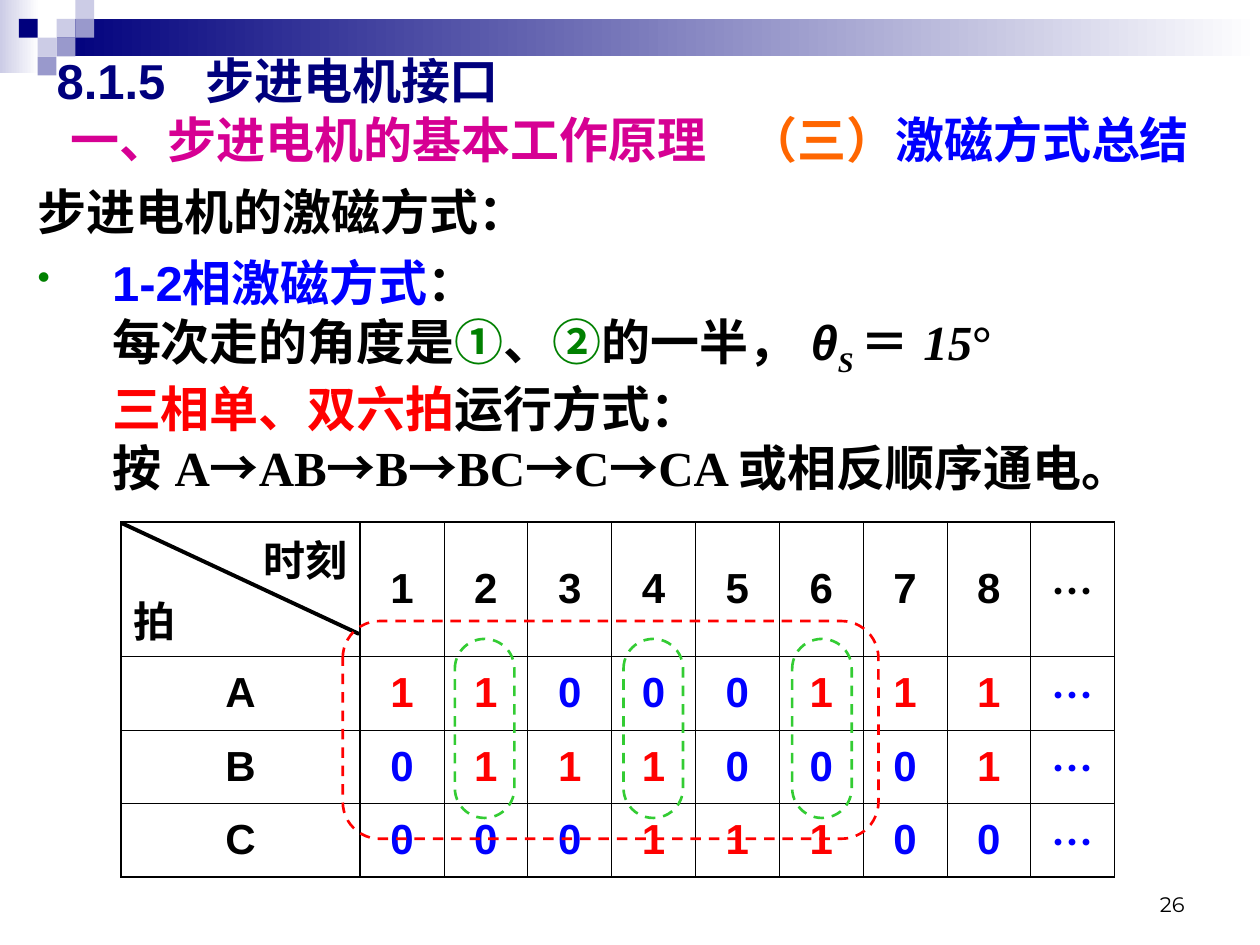
from dataclasses import dataclass
from typing import Optional

from lxml import etree
from pptx import Presentation
from pptx import util as u
from pptx.dml.color import RGBColor
from pptx.enum import dml, shapes, text
from pptx.oxml.ns import qn

COLORS = {
    "black": "000000", "white": "FFFFFF", "navy": "00007D", "lilac": "CCCCE6",
    "violet": "9999CC", "magenta": "D60093", "orange": "FF6600", "blue": "0000FF",
    "green": "008000", "red": "FF0000", "lime": "33CC33",
}
ARIAL, TIMES, CJK = "Arial", "Times New Roman", "Noto Sans CJK SC"
THICK, THIN = 1.08, 0.45


@dataclass
class Run:
    text: str
    color: str = "black"
    font: str = ARIAL
    italic: bool = False
    subscript: bool = False


@dataclass
class Box:
    left: float
    top: float
    width: float
    height: float

    def lengths(self) -> tuple:
        return tuple(u.Cm(v) for v in (self.left, self.top, self.width, self.height))


def rgb(name: str) -> RGBColor:
    return RGBColor.from_string(COLORS[name])


def format_run(run, size: float, style: Run, bold: bool = True, east_asian: str = ARIAL) -> None:
    values = {"size": u.Pt(size), "bold": bold, "italic": style.italic, "name": style.font}
    for name, value in values.items():
        setattr(run.font, name, value)
    run.font.color.rgb = rgb(style.color)
    properties = run.font._element
    if style.subscript:
        properties.set("baseline", "-25000")
    properties.find(qn("a:latin")).addnext(
        etree.Element(qn("a:ea"), typeface=east_asian))


def write_runs(paragraph, runs: list[Run], size: float = 28) -> None:
    """Add the runs; a newline inside a run becomes a line break."""
    for style in runs:
        for index, part in enumerate(style.text.split("\n")):
            if index:
                paragraph.add_line_break()
            if part:
                run = paragraph.add_run()
                run.text = part
                format_run(run, size, style)


def set_frame(frame, anchor) -> None:
    values = {"word_wrap": True, "auto_size": text.MSO_AUTO_SIZE.NONE,
              "vertical_anchor": anchor,
              "margin_left": u.Cm(0.25), "margin_right": u.Cm(0.25),
              "margin_top": u.Cm(0.13), "margin_bottom": u.Cm(0.13)}
    for name, value in values.items():
        setattr(frame, name, value)


def add_block(slide, box: Box, color: str, fade: bool = False) -> None:
    shape = slide.shapes.add_shape(shapes.MSO_SHAPE.RECTANGLE, *box.lengths())
    shape.shadow.inherit = False
    shape.line.fill.background()
    if fade:
        shape.fill.gradient()
        shape.fill.gradient_angle = 0
        for stop, name in zip(shape.fill.gradient_stops, (color, "white")):
            stop.color.rgb = rgb(name)
    else:
        shape.fill.solid()
        shape.fill.fore_color.rgb = rgb(color)


def add_dashed_frame(slide, box: Box, color: str, rounding: float) -> None:
    shape = slide.shapes.add_shape(shapes.MSO_SHAPE.ROUNDED_RECTANGLE, *box.lengths())
    shape.adjustments[0] = rounding
    shape.shadow.inherit = False
    shape.fill.background()
    shape.line.color.rgb = rgb(color)
    shape.line.width = u.Pt(1.5)
    shape.line.dash_style = dml.MSO_LINE.DASH


def set_borders(cell, widths: dict[str, float]) -> None:
    cell.fill.background()
    properties = cell._tc.get_or_add_tcPr()
    for index, (side, width) in enumerate(widths.items()):
        line = etree.Element(qn(f"a:ln{side}"), w=str(u.Pt(width)))
        fill = etree.SubElement(line, qn("a:solidFill"))
        etree.SubElement(fill, qn("a:srgbClr"), val=COLORS["black"])
        properties.insert(index, line)


def fill_cell(cell, lines: list[str], color: str, alignments: list) -> None:
    cell.vertical_anchor = text.MSO_ANCHOR.MIDDLE
    frame = cell.text_frame
    for index, (line, alignment) in enumerate(zip(lines, alignments)):
        paragraph = frame.add_paragraph() if index else frame.paragraphs[0]
        paragraph.alignment = alignment
        run = paragraph.add_run()
        run.text = line
        font = CJK if line == "…" else ARIAL
        format_run(run, 24, Run(line, color, font), east_asian=CJK)


def add_phase_table(slide) -> None:
    header = [""] + [str(n) for n in range(1, 9)] + ["…"]
    rows = [header] + [list(line) for line in ("A11000111…", "B01110001…", "C00011100…")]
    last_row, last_column = len(rows) - 1, len(header) - 1
    frame = slide.shapes.add_table(len(rows), len(header),
                                   *Box(2.44, 10.52, 20.07, 6.1).lengths())
    table = frame.table
    table.first_row = table.horz_banding = False
    for index, column in enumerate(table.columns):
        column.width = u.Cm(1.69 if index else 4.82)
    for index, row in enumerate(table.rows):
        row.height = u.Cm(1.27 if index else 2.29)
    align = text.PP_ALIGN
    for r, values in enumerate(rows):
        for c, value in enumerate(values):
            cell = table.cell(r, c)
            set_borders(cell, {
                "L": THICK if c <= 1 else THIN,
                "R": THICK if c in (0, last_column) else THIN,
                "T": THICK if r <= 1 else THIN,
                "B": THICK if r in (0, last_row) else THIN})
            if r == c == 0:
                fill_cell(cell, ["时刻", "拍"], "black", [align.RIGHT, align.LEFT])
                continue
            color = "black" if r == 0 or c == 0 else "red" if value == "1" else "blue"
            fill_cell(cell, [value], color, [align.CENTER])


def add_properties(paragraph, tabs: tuple = (), bullet: Optional[str] = None) -> None:
    properties = paragraph._p.get_or_add_pPr()
    if bullet:
        color = etree.SubElement(properties, qn("a:buClr"))
        etree.SubElement(color, qn("a:srgbClr"), val=COLORS["green"])
        etree.SubElement(properties, qn("a:buSzPct"), val="75000")
        etree.SubElement(properties, qn("a:buChar"), char=bullet)
    if tabs:
        tab_list = etree.SubElement(properties, qn("a:tabLst"))
        for position in tabs:
            etree.SubElement(tab_list, qn("a:tab"), pos=str(u.Cm(position)), algn="l")


def main() -> None:
    presentation = Presentation()
    presentation.slide_width, presentation.slide_height = u.Cm(25.4), u.Cm(19.05)
    slide = presentation.slides.add_slide(presentation.slide_layouts[5])

    # Header band and its mosaic of small squares
    add_block(slide, Box(0, 0, 0.79, 1.47), "lilac", fade=True)
    add_block(slide, Box(1.14, 0.38, 24.26, 0.76), "navy", fade=True)
    square = 0.38
    for column, row, color in [(3, 1, "lilac"), (4, 0, "lilac"), (4, 1, "violet"),
                               (2, 2, "lilac"), (1, 1, "navy"), (3, 2, "violet"),
                               (2, 3, "violet")]:
        add_block(slide, Box(column * square, row * square, square, square), color)

    # Title
    title = slide.shapes.title
    title.left, title.top, title.width, title.height = Box(0.89, 0.91, 23.8, 2.59).lengths()
    set_frame(title.text_frame, text.MSO_ANCHOR.MIDDLE)
    paragraph = title.text_frame.paragraphs[0]
    paragraph.alignment = text.PP_ALIGN.LEFT
    add_properties(paragraph, tabs=(3, 13.95))
    write_runs(paragraph, [
        Run("8.1.5\t步进电机接口\n ", "navy"), Run("一、步进电机的基本工作原理\t", "magenta"),
        Run("（三）", "orange"), Run("激磁方式总结", "blue")])

    # Explanation
    body = slide.shapes.add_textbox(*Box(0.51, 3.53, 24.41, 6.9).lengths()).text_frame
    set_frame(body, text.MSO_ANCHOR.TOP)
    write_runs(body.paragraphs[0], [Run("步进电机的激磁方式：")])
    paragraph = body.add_paragraph()
    add_properties(paragraph, bullet="•")
    paragraph._p.pPr.set("marL", str(u.Cm(1.5)))
    paragraph._p.pPr.set("indent", str(u.Cm(-1.5)))
    paragraph.space_before = u.Pt(7)
    sequence = [Run("A", font=TIMES)]
    for phase in ("AB", "B", "BC", "C", "CA"):
        sequence += [Run("→", font=CJK), Run(phase, font=TIMES)]
    write_runs(paragraph, [
        Run("1-2相激磁方式", "blue"), Run("：\n每次走的角度是"), Run("①", "green"), Run("、"),
        Run("②", "green"), Run("的一半， "), Run("θ", italic=True),
        Run("S ", font=TIMES, italic=True, subscript=True), Run("＝ ", font=TIMES),
        Run("15", font=TIMES, italic=True), Run("°\n", font=TIMES),
        Run("三相单、双六拍", "red"), Run("运行方式：\n按 "),
        *sequence, Run(" 或相反顺序通电。", font=TIMES)])

    # Phase table with its diagonal header line
    add_phase_table(slide)
    diagonal = slide.shapes.add_connector(
        shapes.MSO_CONNECTOR.STRAIGHT, u.Cm(2.44), u.Cm(10.54), u.Cm(7.24), u.Cm(12.78))
    diagonal.line.color.rgb = rgb("black")
    diagonal.line.width = u.Pt(2.25)
    etree.SubElement(diagonal._element.spPr, qn("a:effectLst"))

    # One full cycle, and its two-phase steps
    add_dashed_frame(slide, Box(6.91, 12.52, 10.8, 4.39), "red", 0.17)
    for step in range(3):
        add_dashed_frame(slide, Box(9.17 + step * 3.4, 12.88, 1.2, 3.61), "lime", 0.5)

    # Page number
    number = slide.shapes.add_textbox(*Box(18.21, 17.35, 5.92, 1.27).lengths()).text_frame
    set_frame(number, text.MSO_ANCHOR.BOTTOM)
    number.paragraphs[0].alignment = text.PP_ALIGN.RIGHT
    run = number.paragraphs[0].add_run()
    run.text = "26"
    format_run(run, 12, Run("26", font="Montserrat"), bold=False)

    presentation.save("out.pptx")


if __name__ == "__main__":
    main()
